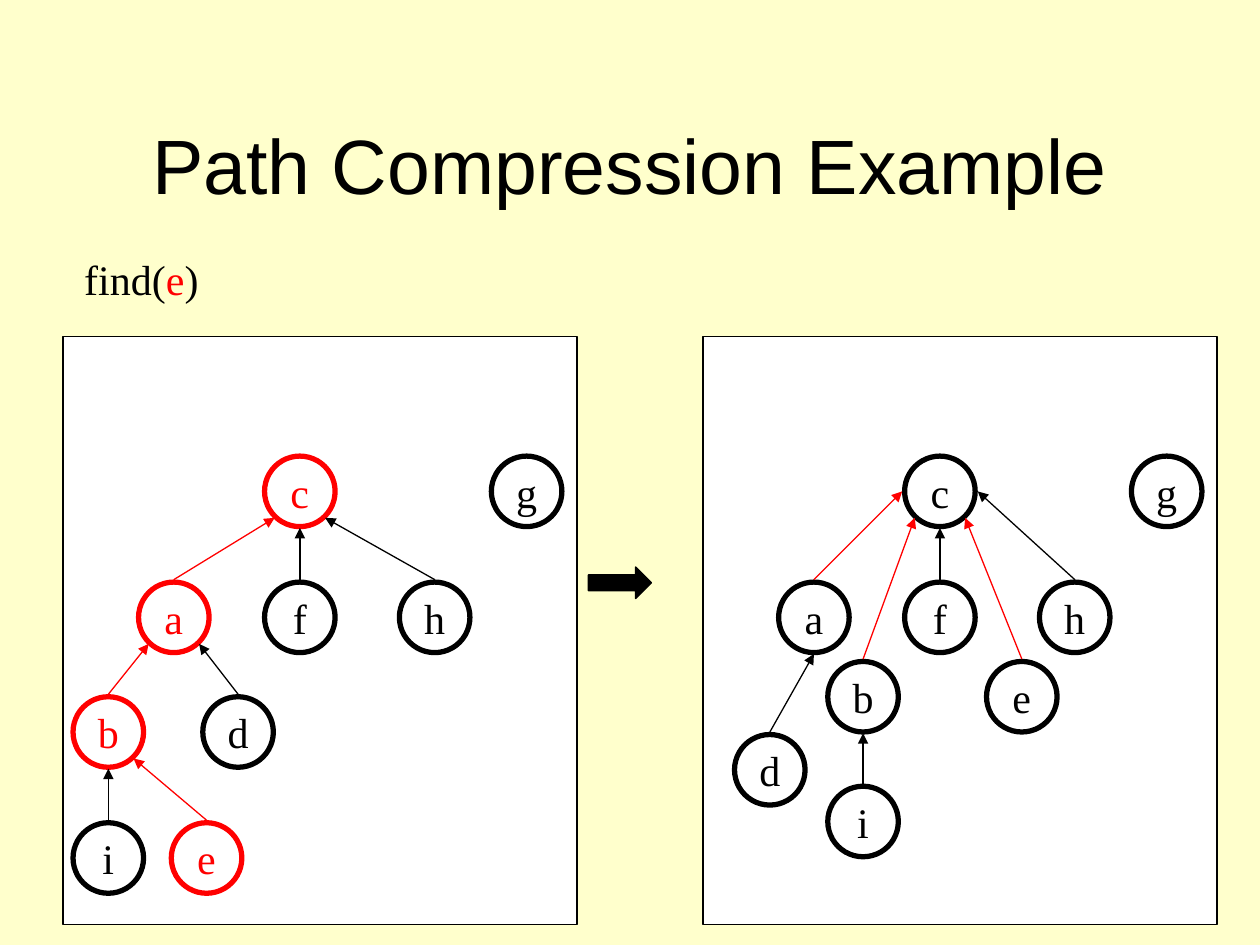
from lxml import etree
from pptx import Presentation
from pptx import util as u
from pptx.dml.color import RGBColor
from pptx.enum import shapes, text
from pptx.oxml import ns

COLORS = {"paper": "FFFFCC", "panel": "FFFFFF", "ink": "000000", "path": "FF0000"}
SERIF, SANS = "Times New Roman", "Arial"
NODE_SIZE = 0.56
NODE_TOP = 0.3  # distance from a node's centre to where its edge starts
PANEL_TOP, PANEL_WIDTH, PANEL_HEIGHT = 2.67, 4.08, 4.67

# Where an edge meets its parent, measured from the parent's centre
DOCKS = {"bottom": (0, 0.29), "lower left": (-0.2, 0.21), "lower right": (0.2, 0.21),
         "left": (-0.3, 0), "right": (0.3, 0)}

# Node: centre x, centre y (from the panel's corner), colour
# Edge: child, parent, dock, colour
BEFORE = {
    "left": 0.5,
    "nodes": {"f": (1.88, 2.23, "ink"), "h": (2.95, 2.23, "ink"),
              "a": (0.88, 2.23, "path"), "b": (0.36, 3.14, "path"),
              "c": (1.88, 1.23, "path"), "d": (1.39, 3.14, "ink"),
              "e": (1.14, 4.14, "path"), "g": (3.68, 1.23, "ink"),
              "i": (0.36, 4.14, "ink")},
    "edges": [("f", "c", "bottom", "ink"), ("h", "c", "lower right", "ink"),
              ("a", "c", "lower left", "path"), ("b", "a", "lower left", "path"),
              ("d", "a", "lower right", "ink"), ("e", "b", "lower right", "path"),
              ("i", "b", "bottom", "ink")],
}
AFTER = {
    "left": 5.58,
    "nodes": {"f": (1.88, 2.23, "ink"), "h": (2.95, 2.23, "ink"),
              "a": (0.88, 2.23, "ink"), "c": (1.88, 1.23, "ink"),
              "d": (0.53, 3.44, "ink"), "e": (2.53, 2.86, "ink"),
              "g": (3.68, 1.23, "ink"), "b": (1.27, 2.86, "ink"),
              "i": (1.27, 3.85, "ink")},
    "edges": [("f", "c", "bottom", "ink"), ("h", "c", "right", "ink"),
              ("a", "c", "left", "path"), ("d", "a", "bottom", "ink"),
              ("e", "c", "lower right", "path"), ("b", "c", "lower left", "path"),
              ("i", "b", "bottom", "ink")],
}


def rgb(color):
    return RGBColor.from_string(COLORS[color])


def add_run(paragraph, words, color, size=24, font=SERIF):
    run = paragraph.add_run()
    run.text = words
    run.font.size = u.Pt(size)
    run.font.name = font
    run.font.color.rgb = rgb(color)


def add_outline(slide, kind, box, fill, line, weight):
    outline = slide.shapes.add_shape(kind, *map(u.Inches, box))
    outline.shadow.inherit = False
    if fill:
        outline.fill.solid()
        outline.fill.fore_color.rgb = rgb(fill)
    else:
        outline.fill.background()
    outline.line.color.rgb = rgb(line)
    outline.line.width = u.Pt(weight)
    return outline


def add_label(slide, box, runs, wrap=False):
    label = slide.shapes.add_textbox(*map(u.Inches, box))
    label.text_frame.word_wrap = wrap
    for run in runs:
        add_run(label.text_frame.paragraphs[0], *run)
    return label.text_frame


def add_node(slide, letter, x, y, color):
    half = NODE_SIZE / 2
    node = add_outline(slide, shapes.MSO_SHAPE.OVAL,
                       (x - half, y - half, NODE_SIZE, NODE_SIZE), None, color, 3)
    frame = node.text_frame
    frame.word_wrap = False
    frame.vertical_anchor = text.MSO_ANCHOR.MIDDLE
    frame.paragraphs[0].alignment = text.PP_ALIGN.CENTER
    add_run(frame.paragraphs[0], letter, color)


def add_edge(slide, start, end, color):
    edge = slide.shapes.add_connector(shapes.MSO_CONNECTOR.STRAIGHT,
                                      *map(u.Inches, start + end))
    edge.line.color.rgb = rgb(color)
    edge.line.width = u.Pt(0.75)
    etree.SubElement(edge.line._get_or_add_ln(), ns.qn("a:tailEnd"), type="triangle")
    etree.SubElement(edge._element.spPr, ns.qn("a:effectLst"))


def add_forest(slide, forest):
    left = forest["left"]
    add_outline(slide, shapes.MSO_SHAPE.RECTANGLE,
                (left, PANEL_TOP, PANEL_WIDTH, PANEL_HEIGHT), "panel", "ink", 0.75)
    centres = {}
    for letter, (x, y, color) in forest["nodes"].items():
        centres[letter] = (left + x, PANEL_TOP + y)
        add_node(slide, letter, *centres[letter], color)
    for child, parent, dock, color in forest["edges"]:
        (child_x, child_y), (parent_x, parent_y) = centres[child], centres[parent]
        dx, dy = DOCKS[dock]
        add_edge(slide, (child_x, child_y - NODE_TOP), (parent_x + dx, parent_y + dy), color)


def main():
    deck = Presentation()
    deck.slide_width, deck.slide_height = u.Inches(10), u.Inches(7.5)
    slide = deck.slides.add_slide(deck.slide_layouts[6])
    slide.background.fill.solid()
    slide.background.fill.fore_color.rgb = rgb("paper")

    # Title and the call being traced
    title = add_label(slide, (0.75, 0.67, 8.5, 1.25),
                      [("Path Compression Example", "ink", 44, SANS)], wrap=True)
    title.vertical_anchor = text.MSO_ANCHOR.MIDDLE
    title.paragraphs[0].alignment = text.PP_ALIGN.CENTER
    call = add_label(slide, (0.57, 1.96, 1.12, 0.5),
                     [("find(", "ink"), ("e", "path"), (")", "ink")])
    call.auto_size = text.MSO_AUTO_SIZE.SHAPE_TO_FIT_TEXT

    # Forest before and after the call
    add_forest(slide, BEFORE)
    add_outline(slide, shapes.MSO_SHAPE.RIGHT_ARROW, (4.67, 4.5, 0.5, 0.25),
                "ink", "ink", 0.75)
    add_forest(slide, AFTER)

    deck.save("out.pptx")


if __name__ == "__main__":
    main()
